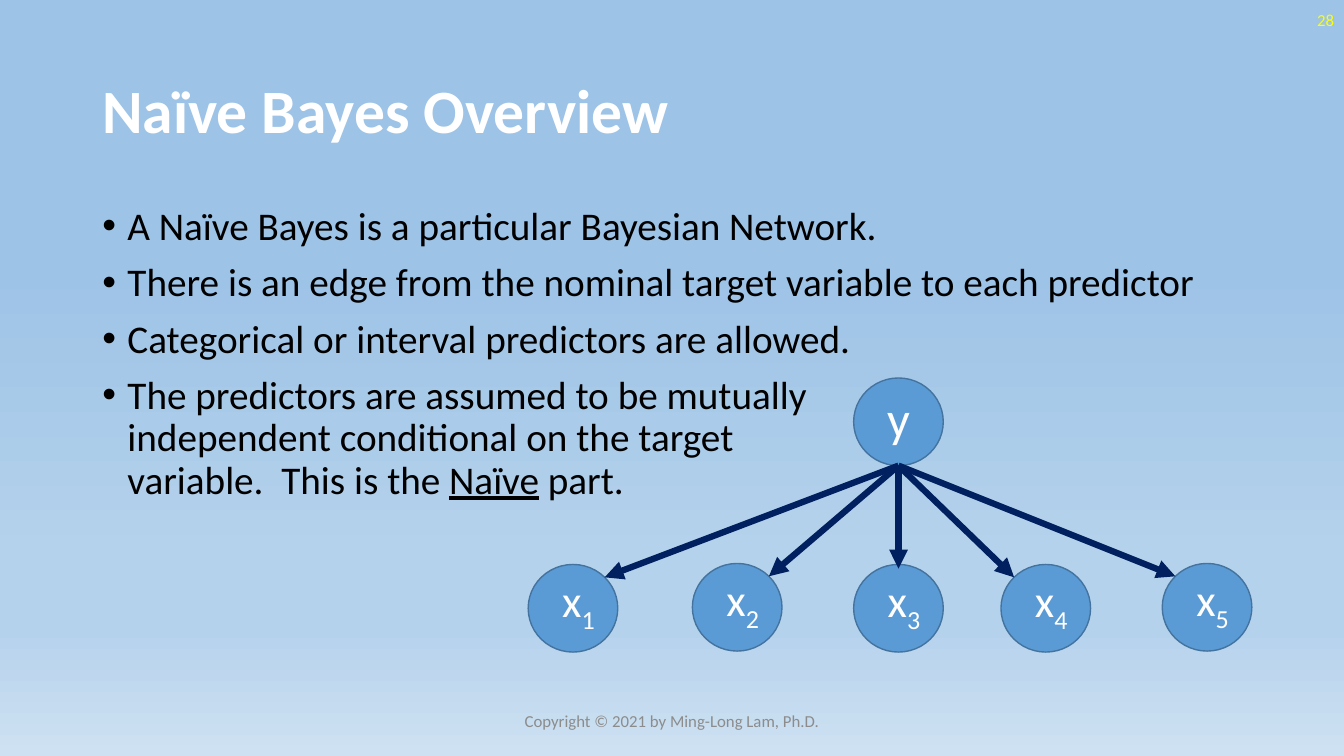
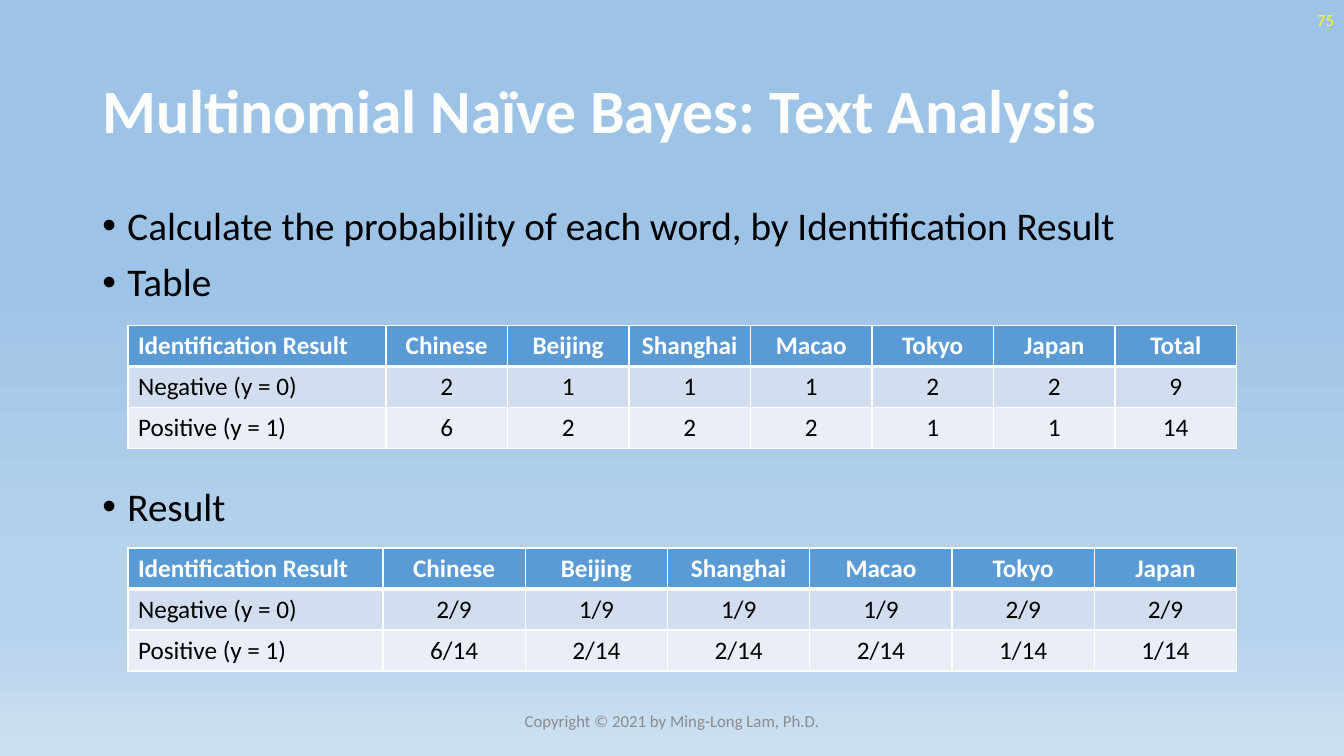
"""Build two Naïve Bayes lecture slides: a network diagram and word tables."""
import math
from dataclasses import dataclass, field

import lxml.etree
import pptx
import pptx.dml.color
import pptx.enum.shapes
import pptx.enum.text
import pptx.oxml.ns
import pptx.util

Pt = pptx.util.Pt
qn = pptx.oxml.ns.qn
ALIGN = pptx.enum.text.PP_ALIGN
ANCHOR = pptx.enum.text.MSO_ANCHOR
SHAPE = pptx.enum.shapes.MSO_SHAPE

COLORS = {
    "white": "FFFFFF", "black": "000000", "number": "FFFF00", "footer": "8C8C8C",
    "node": "5B9BD5", "outline": "43739E", "edge": "002060",
    "band_dark": "D2DEEF", "band_light": "EAEFF7",
}
BACKGROUND = [(35, "9DC3E6"), (74, "B5D2EC"), (83, "B5D2EC"), (100, "CEE1F2")]
FOOTER = "Copyright © 2021 by Ming-Long Lam, Ph.D."
BODY_INDENT = 18
NODE_W, NODE_H = 64, 62.6
TABLE_LEFT, TABLE_W, TABLE_H = 91.4, 792, 87.9


@dataclass
class Run:
    text: str
    size: float = 28
    color: str = "black"
    format: dict = field(default_factory=dict)
    baseline: int = 0


@dataclass
class Para:
    runs: list[Run]
    format: dict = field(default_factory=dict)
    bullet: bool = False


@dataclass
class Box:
    left: float
    top: float
    width: float
    height: float

    def lengths(self) -> list:
        return [Pt(v) for v in (self.left, self.top, self.width, self.height)]


@dataclass
class Predictor:
    label: str
    left: float
    top: float
    side: int
    dip: float = 0


@dataclass
class WordTable:
    top: float
    first_width: float
    words: list[str]
    counts: dict[str, list[str]]


TITLE_BOX = Box(66, 28.8, 828, 104.4)
BODY_BOX = Box(66, 144, 828, 342.7)
NUMBER_BOX = Box(744, 0, 216, 28.8)
FOOTER_BOX = Box(318, 500.4, 324, 28.8)
TARGET_BOX = Box(609.8, 270, NODE_W, NODE_H)
PREDICTORS = [
    Predictor("1", 377.3, 403.2, 1),
    Predictor("2", 494.6, 402.5, 1),
    Predictor("3", 609.8, 403.2, 0, 2.9),
    Predictor("4", 715, 403.2, -1),
    Predictor("5", 830.2, 402.5, -1),
]
WORDS = ["Chinese", "Beijing", "Shanghai", "Macao", "Tokyo", "Japan"]
TABLES = [
    WordTable(232.5, 184.3, WORDS + ["Total"], {
        "Negative (y = 0)": ["2", "1", "1", "1", "2", "2", "9"],
        "Positive (y = 1)": ["6", "2", "2", "2", "1", "1", "14"],
    }),
    WordTable(391.5, 182.2, WORDS, {
        "Negative (y = 0)": ["2/9", "1/9", "1/9", "1/9", "2/9", "2/9"],
        "Positive (y = 1)": ["6/14", "2/14", "2/14", "2/14", "1/14", "1/14"],
    }),
]


def rgb(name: str) -> pptx.dml.color.RGBColor:
    return pptx.dml.color.RGBColor.from_string(COLORS[name])


def set_all(target, values: dict) -> None:
    for name, value in values.items():
        setattr(target, name, value)


def add_xml(parent, tag: str, **attrs: str):
    return lxml.etree.SubElement(parent, qn(tag), attrs)


def write(tf, paras: list[Para], **frame) -> None:
    set_all(tf, {"word_wrap": True, **frame})
    for i, para in enumerate(paras):
        p = tf.add_paragraph() if i else tf.paragraphs[0]
        if para.bullet:
            pPr = p._p.get_or_add_pPr()
            pPr.set("marL", str(Pt(BODY_INDENT)))
            pPr.set("indent", str(-Pt(BODY_INDENT)))
            add_xml(pPr, "a:buFont", typeface="Arial")
            add_xml(pPr, "a:buChar", char="•")
        set_all(p, para.format)
        for run in para.runs:
            for j, line in enumerate(run.text.split("\n")):
                if j:
                    p.add_line_break()
                r = p.add_run()
                r.text = line
                set_all(r.font, {"name": "Calibri", "size": Pt(run.size), **run.format})
                r.font.color.rgb = rgb(run.color)
                if run.baseline:
                    r._r.get_or_add_rPr().set("baseline", str(run.baseline * 1000))


def add_text(s, box: Box, paras: list[Para], **frame) -> None:
    write(s.shapes.add_textbox(*box.lengths()).text_frame, paras, **frame)


def add_base(prs, title: str, number: str):
    s = prs.slides.add_slide(prs.slide_layouts[6])
    fill = s.background.fill
    fill.gradient()
    fill.gradient_angle = 270
    stops = s.element.find(".//" + qn("a:gsLst"))
    for stop in list(stops):
        stops.remove(stop)
    for position, color in BACKGROUND:
        add_xml(add_xml(stops, "a:gs", pos=str(position * 1000)), "a:srgbClr", val=color)
    middle = {"vertical_anchor": ANCHOR.MIDDLE}
    heading = Para([Run(title, 44, "white", {"bold": True})], {"line_spacing": 0.9})
    add_text(s, TITLE_BOX, [heading], **middle)
    for box, text, color, align in (
        (NUMBER_BOX, number, "number", ALIGN.RIGHT),
        (FOOTER_BOX, FOOTER, "footer", ALIGN.CENTER),
    ):
        add_text(s, box, [Para([Run(text, 12, color)], {"alignment": align})], **middle)
    return s


def add_body(s, items: list[tuple[list[Run], float]]) -> None:
    add_text(s, BODY_BOX, [
        Para(runs, {"line_spacing": 0.9, "space_before": Pt(gap)}, True)
        for runs, gap in items
    ])


def add_node(s, box: Box, runs: list[Run], align) -> None:
    sp = s.shapes.add_shape(SHAPE.OVAL, *box.lengths())
    sp.shadow.inherit = False
    sp.fill.solid()
    sp.fill.fore_color.rgb = rgb("node")
    sp.line.color.rgb = rgb("outline")
    sp.line.width = Pt(1)
    write(sp.text_frame, [Para(runs, {"alignment": align})], vertical_anchor=ANCHOR.BOTTOM)


def add_edge(s, predictor: Predictor) -> None:
    angle = predictor.side * math.pi / 4
    x = predictor.left + NODE_W / 2 * (1 + math.sin(angle))
    y = predictor.top + NODE_H / 2 * (1 - math.cos(angle)) + predictor.dip
    start = (TARGET_BOX.left + NODE_W / 2, TARGET_BOX.top + NODE_H)
    edge = s.shapes.add_connector(
        pptx.enum.shapes.MSO_CONNECTOR.STRAIGHT, *(Pt(v) for v in (*start, x, y)))
    edge.line.color.rgb = rgb("edge")
    edge.line.width = Pt(4.5)
    spPr = edge._element.spPr
    add_xml(spPr.find(qn("a:ln")), "a:tailEnd", type="triangle")
    add_xml(spPr, "a:effectLst")


def style_cell(cell, row: int) -> None:
    tcPr = cell._tc.get_or_add_tcPr()
    widths = {"L": 1, "R": 1, "T": 3 if row == 1 else 1, "B": 1 if row else 3}
    for side, width in widths.items():
        ln = add_xml(tcPr, f"a:ln{side}", w=str(Pt(width)))
        add_xml(add_xml(ln, "a:solidFill"), "a:srgbClr", val=COLORS["white"])
    cell.fill.solid()
    cell.fill.fore_color.rgb = rgb(("node", "band_dark", "band_light")[row])
    cell.vertical_anchor = ANCHOR.MIDDLE


def add_word_table(s, data: WordTable) -> None:
    rows = [["Identification Result", *data.words]]
    rows += [[name, *values] for name, values in data.counts.items()]
    box = Box(TABLE_LEFT, data.top, TABLE_W, TABLE_H)
    table = s.shapes.add_table(len(rows), len(rows[0]), *box.lengths()).table
    word_width = (TABLE_W - data.first_width) / len(data.words)
    for j, column in enumerate(table.columns):
        column.width = Pt(word_width if j else data.first_width)
    for i, row in enumerate(rows):
        for j, text in enumerate(row):
            cell = table.cell(i, j)
            style_cell(cell, i)
            run = Run(text, 18, "black" if i else "white", {"bold": i == 0})
            align = ALIGN.CENTER if j else ALIGN.LEFT
            write(cell.text_frame, [Para([run], {"alignment": align})])


def build_overview(prs) -> None:
    s = add_base(prs, "Naïve Bayes Overview", "28")
    add_body(s, [
        ([Run("A Naïve Bayes is a particular Bayesian Network.")], 0),
        ([Run("There is an edge from the nominal target variable to each predictor")], 10),
        ([Run("Categorical or interval predictors are allowed.")], 10),
        ([Run("The predictors are assumed to be mutually\n"
              "independent conditional on the target\nvariable.  This is the "),
          Run("Naïve", format={"underline": True}), Run(" part.")], 10),
    ])
    add_node(s, TARGET_BOX, [Run("y", 36, "white")], ALIGN.CENTER)
    for predictor in PREDICTORS:
        label = [Run("x", 32, "white"), Run(predictor.label, 32, "white", baseline=-25)]
        add_node(s, Box(predictor.left, predictor.top, NODE_W, NODE_H), label, ALIGN.RIGHT)
    for predictor in PREDICTORS:
        add_edge(s, predictor)


def build_text_analysis(prs) -> None:
    s = add_base(prs, "Multinomial Naïve Bayes: Text Analysis", "75")
    add_body(s, [
        ([Run("Calculate the probability of each word, by Identification Result")], 0),
        ([Run("Table")], 10),
        ([Run("Result")], 130),
    ])
    for data in TABLES:
        add_word_table(s, data)


def main() -> None:
    prs = pptx.Presentation()
    set_all(prs, {"slide_width": Pt(960), "slide_height": Pt(540)})
    build_overview(prs)
    build_text_analysis(prs)
    prs.save("out.pptx")


if __name__ == "__main__":
    main()
